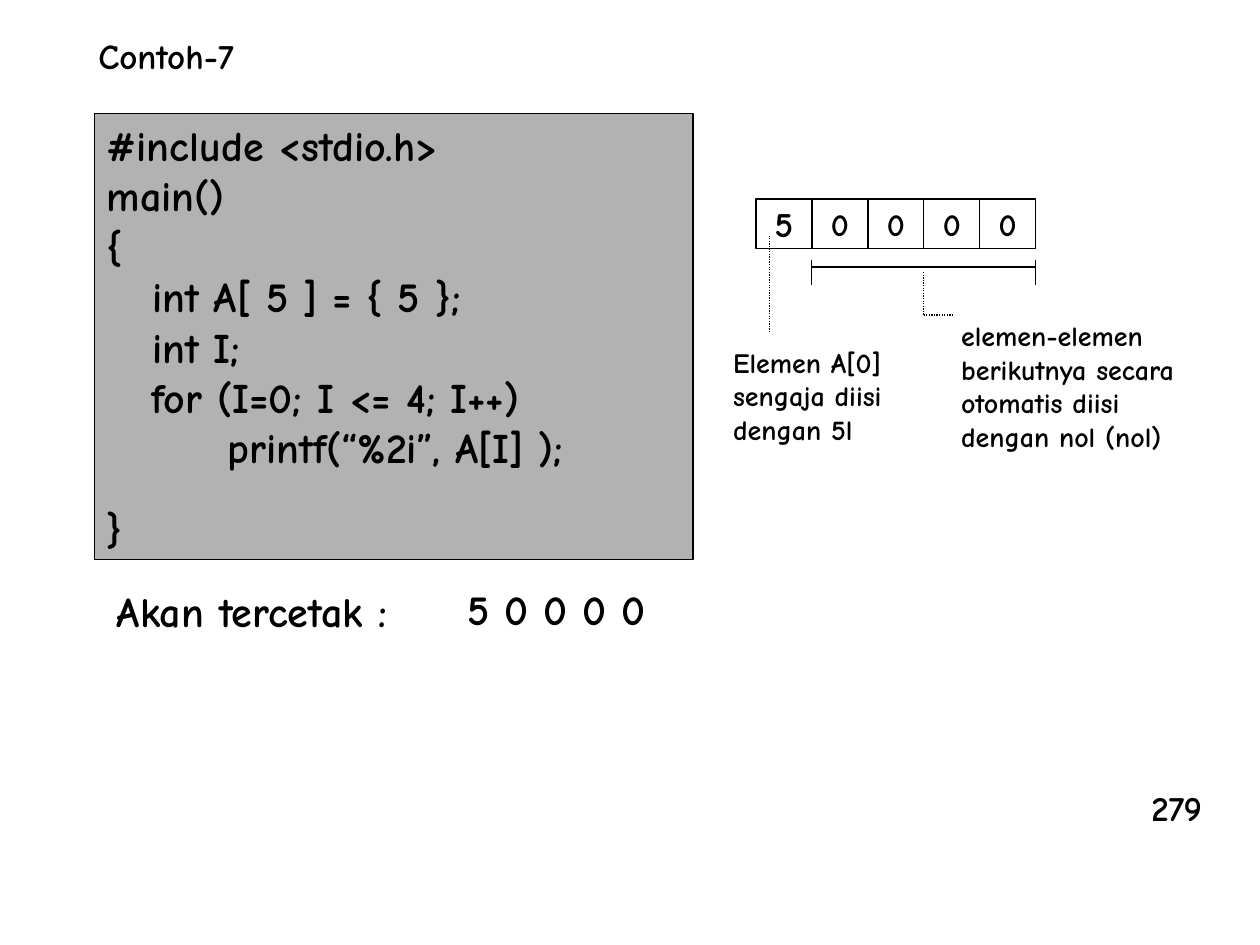
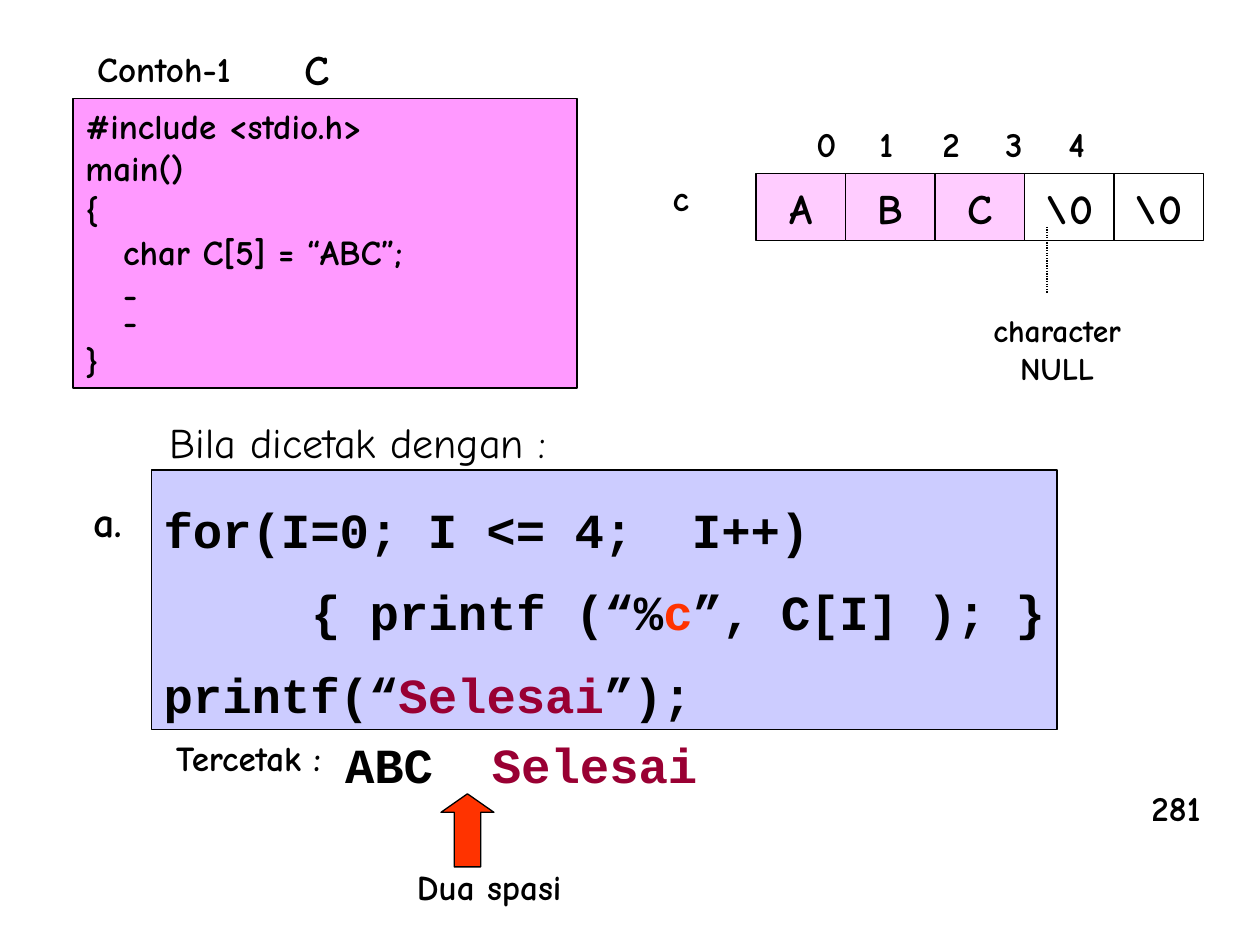
import pptx
import pptx.dml.color
import pptx.enum.dml
import pptx.enum.shapes
import pptx.enum.text
import pptx.oxml
import pptx.oxml.ns
import pptx.util
from lxml import etree

Inches = pptx.util.Inches
Pt = pptx.util.Pt
RGB = pptx.dml.color.RGBColor
Shape = pptx.enum.shapes.MSO_SHAPE
Align = pptx.enum.text.PP_ALIGN
Anchor = pptx.enum.text.MSO_ANCHOR

BLACK = RGB(0x00, 0x00, 0x00)
GREY = RGB(0xB2, 0xB2, 0xB2)
PINK = RGB(0xFF, 0x99, 0xFF)
PALE = RGB(0xFF, 0xCC, 0xFF)
LILAC = RGB(0xCC, 0xCC, 0xFF)
RED = RGB(0xFF, 0x33, 0x00)
WINE = RGB(0x99, 0x00, 0x33)

HAND = "Comic Neue"
CODE = "Courier New"


def write(frame, lines, size=20, font=HAND, bold=True, align=Align.LEFT,
          anchor=Anchor.TOP, wrap=False, indent=None, lead=None, before=None,
          tabs=()):
    """Fill a frame. A line is a string or a list of (text, colour) runs;
    indent (inches), lead and before (points) map line numbers to values."""
    frame.word_wrap = wrap
    frame.auto_size = pptx.enum.text.MSO_AUTO_SIZE.NONE
    frame.vertical_anchor = anchor
    frame.margin_left = frame.margin_right = Inches(0.1)
    frame.margin_top = frame.margin_bottom = Inches(0.05)
    for num, line in enumerate(lines):
        para = frame.paragraphs[0] if num == 0 else frame.add_paragraph()
        para.alignment = align
        para.line_spacing = (lead or {}).get(num, 1.0)
        para.space_before = Pt((before or {}).get(num, 0))
        props = para._p.get_or_add_pPr()
        props.set("marL", str(Inches((indent or {}).get(num, 0))))
        props.set("indent", "0")
        if tabs:
            stops = etree.SubElement(props, pptx.oxml.ns.qn("a:tabLst"))
            for pos in tabs:
                etree.SubElement(stops, pptx.oxml.ns.qn("a:tab"),
                                 pos=str(Inches(pos)), algn="ctr")
        for text, color in [(line, BLACK)] if isinstance(line, str) else line:
            run = para.add_run()
            run.text = text
            run.font.name = font
            run.font.size = Pt(size)
            run.font.bold = bold
            run.font.color.rgb = color


class Deck:
    def __init__(self):
        self.prs = pptx.Presentation()
        self.prs.slide_width = Inches(10)
        self.prs.slide_height = Inches(7.5)
        self.slide = None

    def start(self, title, box, page):
        """Add a slide with its title and page number."""
        self.slide = self.prs.slides.add_slide(self.prs.slide_layouts[5])
        head = self.slide.shapes.title
        head.left, head.top, head.width, head.height = map(Inches, box)
        write(head.text_frame, [title], wrap=True)
        self.text((9.04, 6.19, 0.61, 0.44), [page])

    def text(self, box, lines, **form):
        item = self.slide.shapes.add_textbox(*map(Inches, box))
        write(item.text_frame, lines, **form)

    def shape(self, box, lines=(), fill=None, kind=Shape.RECTANGLE, **form):
        item = self.slide.shapes.add_shape(kind, *map(Inches, box))
        item.shadow.inherit = False
        if fill is None:
            item.fill.background()
        else:
            item.fill.solid()
            item.fill.fore_color.rgb = fill
        item.line.color.rgb = BLACK
        item.line.width = Pt(0.75)
        if lines:
            write(item.text_frame, lines, **form)
        return item

    def cells(self, box, items):
        """Draw an array as a row of equal cells of (text, size, fill)."""
        left, top, width, height = box
        step = width / len(items)
        for num, (text, size, fill) in enumerate(items):
            self.shape((left + num * step, top, step, height), [text], fill,
                       size=size, align=Align.CENTER, anchor=Anchor.MIDDLE)

    def line(self, x1, y1, x2, y2, dots=False):
        item = self.slide.shapes.add_connector(
            pptx.enum.shapes.MSO_CONNECTOR.STRAIGHT,
            *map(Inches, (x1, y1, x2, y2)))
        item.line.color.rgb = BLACK
        item.line.width = Pt(0.75)
        if dots:
            item.line.dash_style = pptx.enum.dml.MSO_LINE.ROUND_DOT
        etree.SubElement(item._element.spPr, pptx.oxml.ns.qn("a:effectLst"))


def fill_rest(deck):
    """Slide on an int array whose other elements become zero."""
    deck.start("Contoh-7", (0.68, 0.22, 1.58, 0.44), "279")
    deck.shape((0.75, 0.9, 4.75, 3.54), [
        "#include <stdio.h>", "main()", "{", "int A[ 5 ] = { 5 };", "int I;",
        "for (I=0; I <= 4; I++)", "printf(“%2i”, A[I] );", "}",
    ], GREY, size=24, wrap=True, before={7: 17},
        indent={3: 0.36, 4: 0.36, 5: 0.35, 6: 0.96})
    deck.text((0.83, 4.6, 3.78, 0.5), ["Akan tercetak :"], size=24, wrap=True)
    deck.text((3.61, 4.58, 2.22, 0.5), ["5 0 0 0 0"], size=24, wrap=True)

    deck.cells((6, 1.58, 2.22, 0.39),
               [("5", 20, None)] + [("0", 18, None)] * 4)
    first, last = 6.44, 8.22
    deck.line(first, 2.12, last, 2.12)
    for end in (first, last):
        deck.line(end, 2.06, end, 2.26)
    deck.line(6.11, 1.87, 6.11, 2.64, dots=True)
    deck.line(7.33, 2.16, 7.33, 2.5, dots=True)
    deck.line(7.33, 2.5, 7.56, 2.5, dots=True)
    deck.text((5.72, 2.69, 1.38, 0.9),
              ["Elemen A[0]", "sengaja diisi", "dengan 5l"], size=16)
    deck.text((7.53, 2.48, 1.91, 1.17),
              ["elemen-elemen berikutnya secara otomatis diisi "
               "dengan nol (nol)"], size=16, wrap=True)


def print_chars(deck):
    """Slide on a char array printed one character at a time."""
    deck.start("Contoh-1", (0.67, 0.33, 1.4, 0.44), "281")
    deck.text((2.32, 0.3, 0.4, 0.5), ["C"], size=24)
    deck.shape((0.58, 0.78, 4, 2.3), [
        "#include <stdio.h>", "main()", "{", "char C[5] = “ABC”;",
        "-", "-", "}",
    ], PINK, wrap=True, lead={5: 0.6}, indent={3: 0.3, 4: 0.3, 5: 0.3})

    deck.text((5.24, 1.35, 0.33, 0.44), ["c"])
    deck.text((6.38, 0.92, 3.05, 0.44), ["0\t1\t2\t3\t4"], wrap=True,
              tabs=(0.7, 1.32, 1.85, 2.49))
    deck.cells((6, 1.38, 3.55, 0.53),
               [(char, 24, PALE) for char in "ABC"] + [("\\0", 24, None)] * 2)
    deck.line(8.31, 1.8, 8.31, 2.33, dots=True)
    deck.text((7.78, 2.42, 1.22, 0.7), ["character", "NULL"], size=18,
              align=Align.CENTER)

    deck.text((1.25, 3.26, 3.19, 0.5), ["Bila dicetak dengan :"], size=24,
              bold=False)
    deck.text((0.64, 3.88, 0.43, 0.5), ["a."], size=24)
    deck.shape((1.2, 3.73, 7.19, 2.06), [
        "for(I=0; I <= 4;  I++)",
        [("{ printf (“%", BLACK), ("c", RED), ("”, C[I] ); }", BLACK)],
        [("printf(“", BLACK), ("Selesai", WINE), ("”);", BLACK)],
    ], LILAC, size=28, font=CODE, indent={1: 1.17},
        lead=dict.fromkeys(range(3), 1.4))
    deck.text((1.3, 5.8, 1.38, 0.44), ["Tercetak :"])
    deck.text((2.64, 5.78, 2.99, 0.57),
              [[("ABC  ", BLACK), ("Selesai", WINE)]], size=28, font=CODE)
    arrow = deck.shape((3.5, 6.3, 0.42, 0.58), fill=RED, kind=Shape.UP_ARROW)
    arrow.adjustments[0] = 0.5
    arrow.adjustments[1] = 0.35
    deck.text((3.21, 6.82, 1.35, 0.44), ["Dua spasi"])


def main():
    deck = Deck()
    fill_rest(deck)
    print_chars(deck)
    deck.prs.save("out.pptx")


if __name__ == "__main__":
    main()
